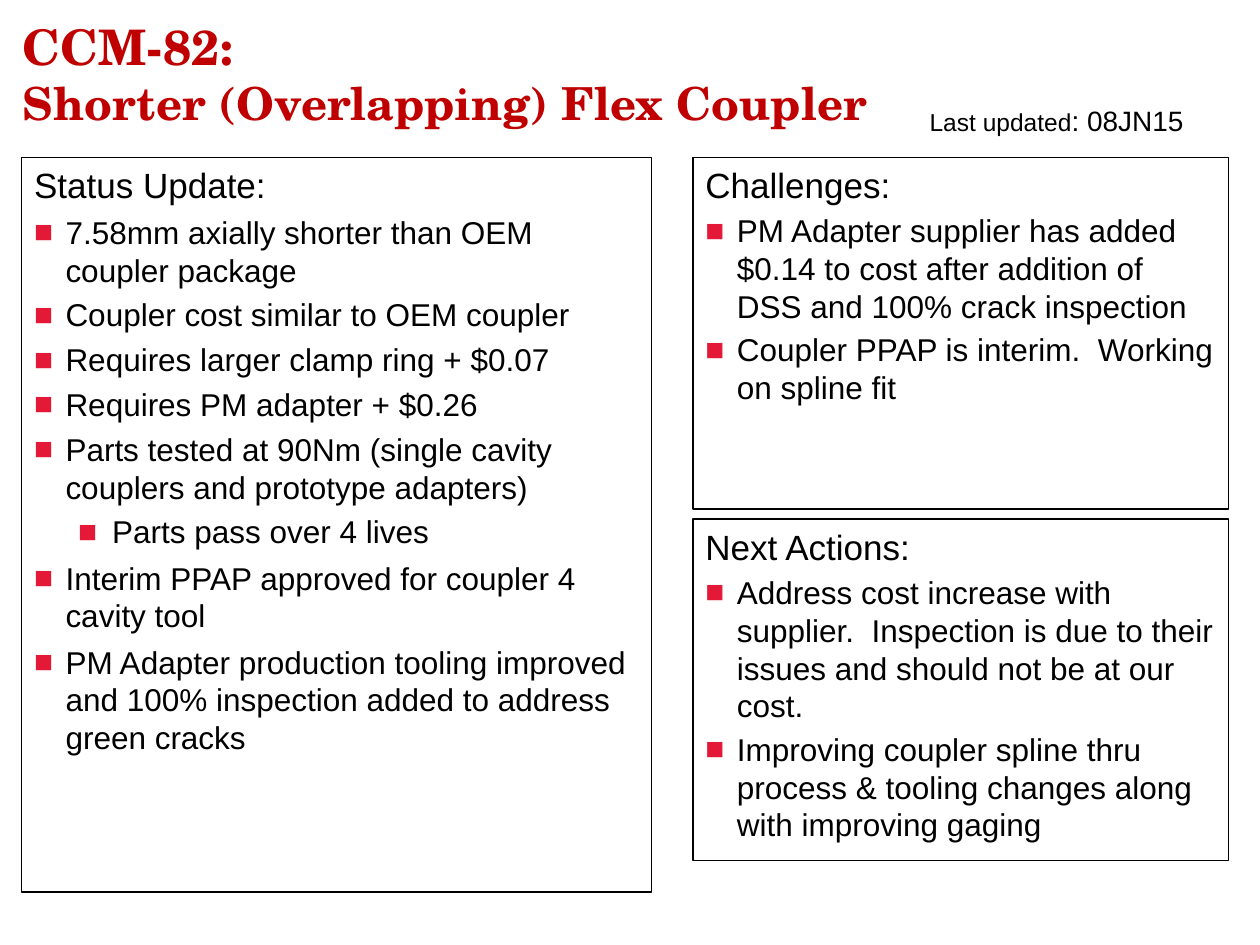
from lxml import etree
from pptx import Presentation
from pptx.dml.color import RGBColor
from pptx.enum.shapes import MSO_SHAPE
from pptx.enum.text import MSO_ANCHOR, MSO_AUTO_SIZE, PP_ALIGN
from pptx.oxml.ns import qn
from pptx.util import Inches, Pt

RECTANGLE = MSO_SHAPE.RECTANGLE
TOP, MIDDLE = MSO_ANCHOR.TOP, MSO_ANCHOR.MIDDLE
LEFT = PP_ALIGN.LEFT
NO_FIT = MSO_AUTO_SIZE.NONE

BLACK = RGBColor(0x00, 0x00, 0x00)
TITLE_RED = RGBColor(0xC0, 0x00, 0x00)
BULLET_RED = RGBColor(0xE3, 0x19, 0x37)

# Each bullet is (level, space before in points, text)
STATUS = [
    (0, 4, "7.58mm axially shorter than OEM coupler package"),
    (0, 4, "Coupler cost similar to OEM coupler"),
    (0, 4, "Requires larger clamp ring + $0.07"),
    (0, 4, "Requires PM adapter + $0.26"),
    (0, 4, "Parts tested at 90Nm (single cavity couplers and prototype adapters)"),
    (1, 4, "Parts pass over 4 lives"),
    (0, 4.8, "Interim PPAP approved for coupler 4 cavity tool"),
    (0, 4.8, "PM Adapter production tooling improved and 100% inspection "
             "added to address green cracks"),
]
CHALLENGES = [
    (0, 3.2, "PM Adapter supplier has added $0.14 to cost after addition of "
             "DSS and 100% crack inspection"),
    (0, 3.2, "Coupler PPAP is interim.  Working on spline fit"),
]
ACTIONS = [
    (0, 3.2, "Address cost increase with supplier.  Inspection is due to their "
             "issues and should not be at our cost."),
    (0, 3.2, "Improving coupler spline thru process & tooling changes along "
             "with improving gaging"),
]


class StatusSlide:
    body_font = "Arial"
    title_font = "TeX Gyre Schola"
    margins = (0.25, 0.62)

    def __init__(self, deck):
        self.page = deck.slides.add_slide(deck.slide_layouts[1])

    def place(self, shape, left, top, width, height):
        shape.left, shape.top = Inches(left), Inches(top)
        shape.width, shape.height = Inches(width), Inches(height)

    def frame(self, shape, anchor=TOP):
        text = shape.text_frame
        text.word_wrap = True
        text.auto_size = NO_FIT
        text.vertical_anchor = anchor
        return text

    def span(self, para, text, size, font=body_font, color=BLACK, bold=False):
        run = para.add_run()
        run.text = text
        run.font.name = font
        run.font.size = Pt(size)
        run.font.bold = bold
        run.font.color.rgb = color

    def indent(self, para, margin, hang, bullet):
        props = para._p.get_or_add_pPr()
        props.set("marL", str(Inches(margin)))
        props.set("indent", str(-Inches(hang)))
        if not bullet:
            etree.SubElement(props, qn("a:buNone"))
            return
        color = etree.SubElement(props, qn("a:buClr"))
        etree.SubElement(color, qn("a:srgbClr"), val=str(BULLET_RED))
        etree.SubElement(props, qn("a:buFont"), typeface=self.body_font)
        etree.SubElement(props, qn("a:buChar"), char="■")

    def title(self, first, second, *area):
        shape = self.page.shapes.title
        self.place(shape, *area)
        para = self.frame(shape, MIDDLE).paragraphs[0]
        para.alignment = LEFT
        self.span(para, first, 28, self.title_font, TITLE_RED, True)
        para.add_line_break()
        self.span(para, second, 26, self.title_font, TITLE_RED, True)

    def fill_panel(self, shape, heading, bullets, hang):
        shape.line.color.rgb = BLACK
        shape.line.width = Pt(0.75)
        text = self.frame(shape)
        para = text.paragraphs[0]
        para.alignment = LEFT
        para.space_before = Pt(0)
        self.indent(para, 0, 0, False)
        self.span(para, heading, 20)
        for level, gap, wording in bullets:
            para = text.add_paragraph()
            para.level = level
            para.alignment = LEFT
            para.space_before = Pt(gap)
            self.indent(para, self.margins[level], hang, True)
            self.span(para, wording, 18)

    def body_panel(self, heading, bullets, *area):
        shape = self.page.placeholders[1]
        self.place(shape, *area)
        self.fill_panel(shape, heading, bullets, 0.27)

    def side_panel(self, heading, bullets, *area):
        shape = self.page.shapes.add_shape(RECTANGLE, *map(Inches, area))
        shape.shadow.inherit = False
        shape.fill.background()
        self.fill_panel(shape, heading, bullets, 0.3)

    def note(self, spans, *area):
        box = self.page.shapes.add_textbox(*map(Inches, area))
        para = self.frame(box).paragraphs[0]
        for text, size in spans:
            self.span(para, text, size)


def main():
    deck = Presentation()
    deck.slide_width, deck.slide_height = Inches(10), Inches(7.5)
    slide = StatusSlide(deck)

    # Header
    slide.title("CCM-82:", "Shorter (Overlapping) Flex Coupler", 0.08, 0.08, 6.92, 1)
    slide.note([("Last updated", 14), (": 08JN15", 16)], 7.28, 0.77, 2.47, 0.4)

    # Panels
    slide.body_panel("Status Update:", STATUS, 0.17, 1.25, 5, 5.83)
    slide.side_panel("Challenges:", CHALLENGES, 5.5, 1.25, 4.25, 2.79)
    slide.side_panel("Next Actions:", ACTIONS, 5.5, 4.12, 4.25, 2.71)

    deck.save("out.pptx")


if __name__ == "__main__":
    main()
